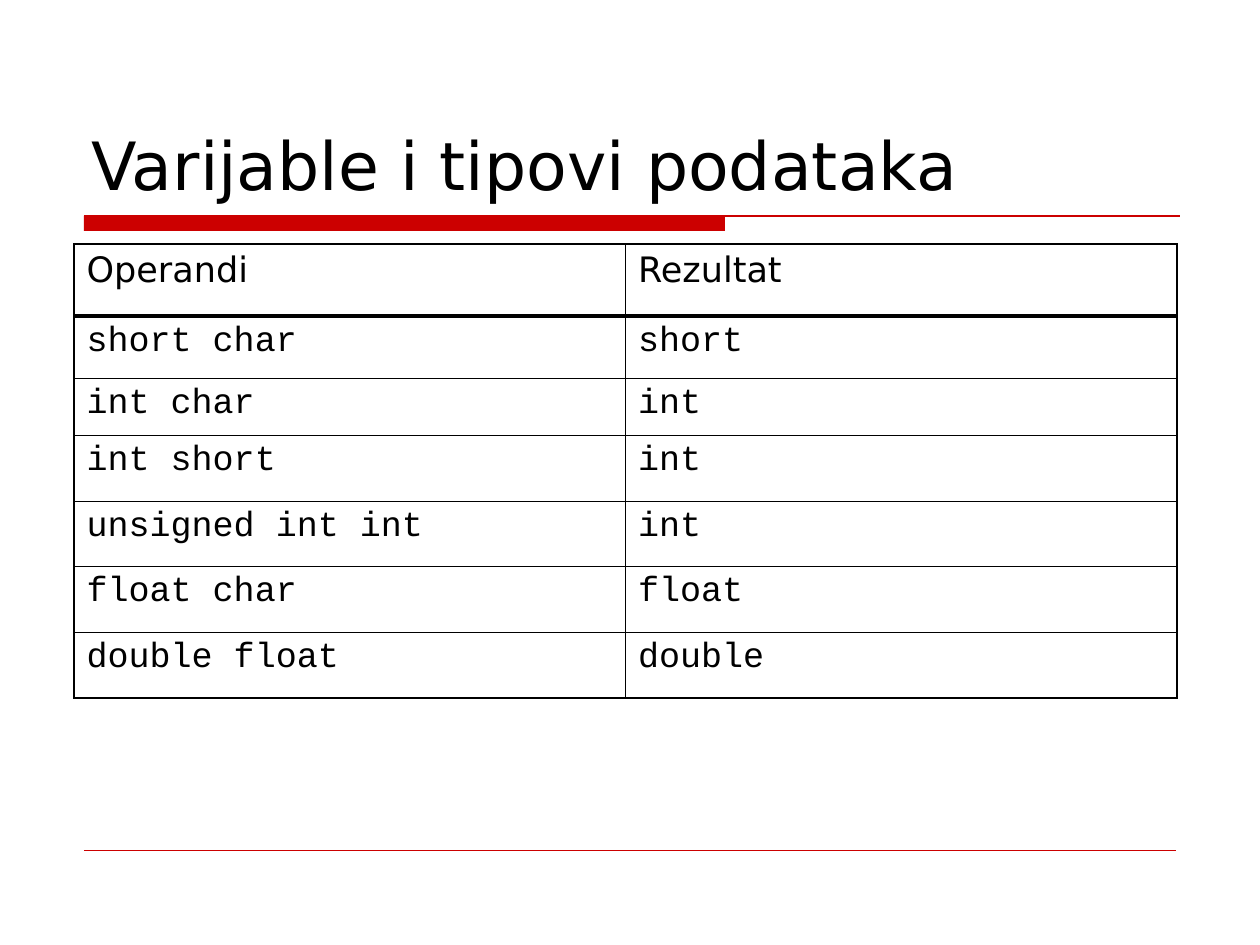
from dataclasses import dataclass

from lxml import etree
from pptx import Presentation
from pptx.dml.color import RGBColor
from pptx.enum.shapes import MSO_CONNECTOR, MSO_SHAPE
from pptx.enum.text import MSO_ANCHOR, MSO_AUTO_SIZE, PP_ALIGN
from pptx.oxml.ns import qn
from pptx.util import Emu, Pt

STRAIGHT = MSO_CONNECTOR.STRAIGHT
RECTANGLE = MSO_SHAPE.RECTANGLE
LEFT = PP_ALIGN.LEFT
TOP, BOTTOM = MSO_ANCHOR.TOP, MSO_ANCHOR.BOTTOM
NO_AUTOFIT = MSO_AUTO_SIZE.NONE
TITLE_ONLY = 5
PIXELS_PER_INCH = 126


@dataclass(frozen=True)
class Theme:
    ink: str = "000000"
    accent: str = "CC0000"
    text_font: str = "DejaVu Sans"
    code_font: str = "Courier New"
    title_size: int = 38
    table_size: int = 20
    inner_border: float = 0.45
    outer_border: float = 1.08
    header_border: float = 2.21
    title_rule: float = 0.75
    footer_rule: float = 0.25


THEME = Theme()
ROWS = [
    ("Operandi", "Rezultat"),
    ("short char", "short"),
    ("int char", "int"),
    ("int short", "int"),
    ("unsigned int int", "int"),
    ("float char", "float"),
    ("double float", "double"),
]
ROW_HEIGHTS = [72, 62, 57, 66, 65, 66, 66]


def px(length):
    return Emu(round(length * 914400 / PIXELS_PER_INCH))


def write_text(frame, text, size, font=THEME.text_font, color=THEME.ink):
    para = frame.paragraphs[0]
    para.alignment = LEFT
    span = para.add_run()
    span.text = text
    span.font.size = Pt(size)
    span.font.name = font
    span.font.color.rgb = RGBColor.from_string(color)


def add_rule(page, left, top, width, weight):
    rule = page.shapes.add_connector(STRAIGHT, px(left), px(top), px(left + width), px(top))
    rule.line.color.rgb = RGBColor.from_string(THEME.accent)
    rule.line.width = Pt(weight)
    etree.SubElement(rule._element.spPr, qn("a:effectLst"))


def add_title(page, box, text):
    left, top, width, height = box
    title = page.shapes.title
    title.left, title.top, title.width, title.height = map(px, box)
    frame = title.text_frame
    frame.word_wrap = True
    frame.auto_size = NO_AUTOFIT
    frame.vertical_anchor = BOTTOM
    write_text(frame, text, size=THEME.title_size)


def add_title_bar(page, box):
    left, top, width, height = box
    bar_width = round(width * 0.585)
    bar = page.shapes.add_shape(RECTANGLE, px(left), px(top), px(bar_width), px(height))
    bar.shadow.inherit = False
    bar.fill.solid()
    bar.fill.fore_color.rgb = RGBColor.from_string(THEME.accent)
    bar.line.fill.background()
    add_rule(page, left, top, width, THEME.title_rule)


def set_borders(cell, **weights):
    properties = cell._tc.get_or_add_tcPr()
    for position, side in enumerate("LRTB"):
        border = etree.Element(qn(f"a:ln{side}"), w=str(Pt(weights[side])))
        fill = etree.SubElement(border, qn("a:solidFill"))
        etree.SubElement(fill, qn("a:srgbClr"), val=THEME.ink)
        properties.insert(position, border)


def add_type_table(page, box, rows, row_heights):
    left, top, width, height = box
    row_count, column_count = len(rows), len(rows[0])
    table = page.shapes.add_table(row_count, column_count, *map(px, box)).table
    table.first_row = False
    table.horz_banding = False
    for column in table.columns:
        column.width = px(width / column_count)
    for row, row_height in zip(table.rows, row_heights):
        row.height = px(row_height)

    outer, inner = THEME.outer_border, THEME.inner_border
    horizontal = [outer, THEME.header_border] + [inner] * (row_count - 2) + [outer]
    vertical = [outer] + [inner] * (column_count - 1) + [outer]
    for i, row in enumerate(rows):
        font = THEME.code_font if i else THEME.text_font
        for j, text in enumerate(row):
            cell = table.cell(i, j)
            cell.fill.background()
            cell.vertical_anchor = TOP
            write_text(cell.text_frame, text, size=THEME.table_size, font=font)
            set_borders(cell, L=vertical[j], R=vertical[j + 1],
                        T=horizontal[i], B=horizontal[i + 1])


def main():
    deck = Presentation()
    deck.slide_width, deck.slide_height = px(1260), px(945)
    page = deck.slides.add_slide(deck.slide_layouts[TITLE_ONLY])
    add_title_bar(page, (84, 216, 1096, 15))
    add_rule(page, 84, 850, 1092, THEME.footer_rule)
    add_title(page, (79, 42, 1103, 168), "Varijable i tipovi podataka")
    add_type_table(page, (74, 244, 1103, sum(ROW_HEIGHTS)), ROWS, ROW_HEIGHTS)
    deck.save("out.pptx")


if __name__ == "__main__":
    main()
